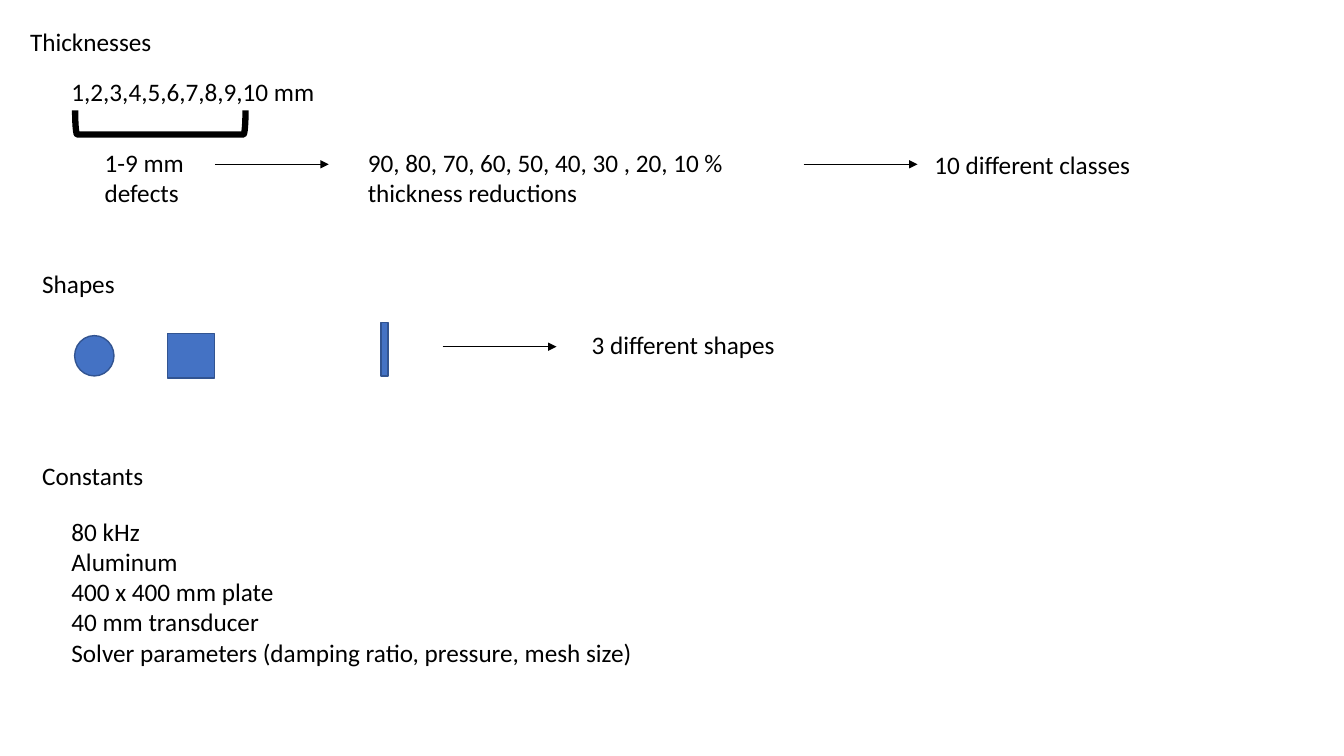
from lxml import etree
from pptx import Presentation
from pptx.dml.color import RGBColor
from pptx.enum.shapes import MSO_CONNECTOR, MSO_SHAPE
from pptx.enum.text import MSO_AUTO_SIZE
from pptx.oxml.ns import qn
from pptx.util import Pt

PX = 9144  # 100 px to the inch
BLACK = RGBColor(0x00, 0x00, 0x00)
BLUE = RGBColor(0x44, 0x72, 0xC4)
DARK_BLUE = RGBColor(0x32, 0x54, 0x91)
STRAIGHT = MSO_CONNECTOR.STRAIGHT
OVAL, RECTANGLE = MSO_SHAPE.OVAL, MSO_SHAPE.RECTANGLE
BRACKET = MSO_SHAPE.RIGHT_BRACKET
FIT_SHAPE = MSO_AUTO_SIZE.SHAPE_TO_FIT_TEXT

# Content: left, top, width, height in px, then the paragraphs
TEXTS = [
    (20, 21, 223, 40, ["Thicknesses"]),
    (61, 71, 275, 40, ["1,2,3,4,5,6,7,8,9,10 mm"]),
    (94, 141, 100, 71, ["1-9 mm defects"]),
    (355, 141, 463, 71,
     ["90, 80, 70, 60, 50, 40, 30 , 20, 10 % thickness reductions"]),
    (917, 143, 286, 40, ["10 different classes"]),
    (32, 261, 223, 40, ["Shapes"]),
    (577, 322, 286, 40, ["3 different shapes"]),
    (32, 452, 223, 40, ["Constants"]),
    (61, 507, 595, 162, [
        "80 kHz",
        "Aluminum",
        "400 x 400 mm plate",
        "40 mm transducer",
        "Solver parameters (damping ratio, pressure, mesh size)",
    ]),
]
DEFECT_SHAPES = [
    (OVAL, 74, 333, 39, 40),
    (RECTANGLE, 166, 331, 47, 44),
    (RECTANGLE, 378, 320, 7, 53),
]
ARROW_LENGTH = 113
ARROW_STARTS = [(213, 163), (797, 163), (439, 344)]
BRACKET_BOX = (147, 37, 24, 169)  # before its quarter turn


def emu(*lengths):
    return [length * PX for length in lengths]


def add_text(slide, left, top, width, height, lines):
    box = slide.shapes.add_textbox(*emu(left, top, width, height))
    frame = box.text_frame
    frame.word_wrap = True
    frame.auto_size = FIT_SHAPE
    frame.text = "\n".join(lines)
    for para in frame.paragraphs:
        para.font.name = "Calibri"
        para.font.size = Pt(18)
        para.font.color.rgb = BLACK


def add_outlined(slide, kind, bounds, color, weight):
    shape = slide.shapes.add_shape(kind, *emu(*bounds))
    shape.shadow.inherit = False
    shape.line.color.rgb = color
    shape.line.width = Pt(weight)
    return shape


def add_arrow(slide, left, top):
    arrow = slide.shapes.add_connector(
        STRAIGHT, *emu(left, top, left + ARROW_LENGTH, top))
    arrow.line.color.rgb = BLACK
    arrow.line.width = Pt(0.5)
    etree.SubElement(arrow.line._get_or_add_ln(), qn("a:tailEnd"), type="triangle")
    etree.SubElement(arrow._element.spPr, qn("a:effectLst"))


def main():
    deck = Presentation()
    deck.slide_width, deck.slide_height = emu(1333, 750)
    slide = deck.slides.add_slide(deck.slide_layouts[6])

    # Labels and lists
    for text in TEXTS:
        add_text(slide, *text)

    # Bracket under the thicknesses
    bracket = add_outlined(slide, BRACKET, BRACKET_BOX, BLACK, 4.5)
    bracket.fill.background()
    bracket.rotation = 90

    # Defect shapes
    for kind, *bounds in DEFECT_SHAPES:
        shape = add_outlined(slide, kind, bounds, DARK_BLUE, 1)
        shape.fill.solid()
        shape.fill.fore_color.rgb = BLUE

    # Arrows to the results
    for start in ARROW_STARTS:
        add_arrow(slide, *start)

    deck.save("out.pptx")


if __name__ == "__main__":
    main()
